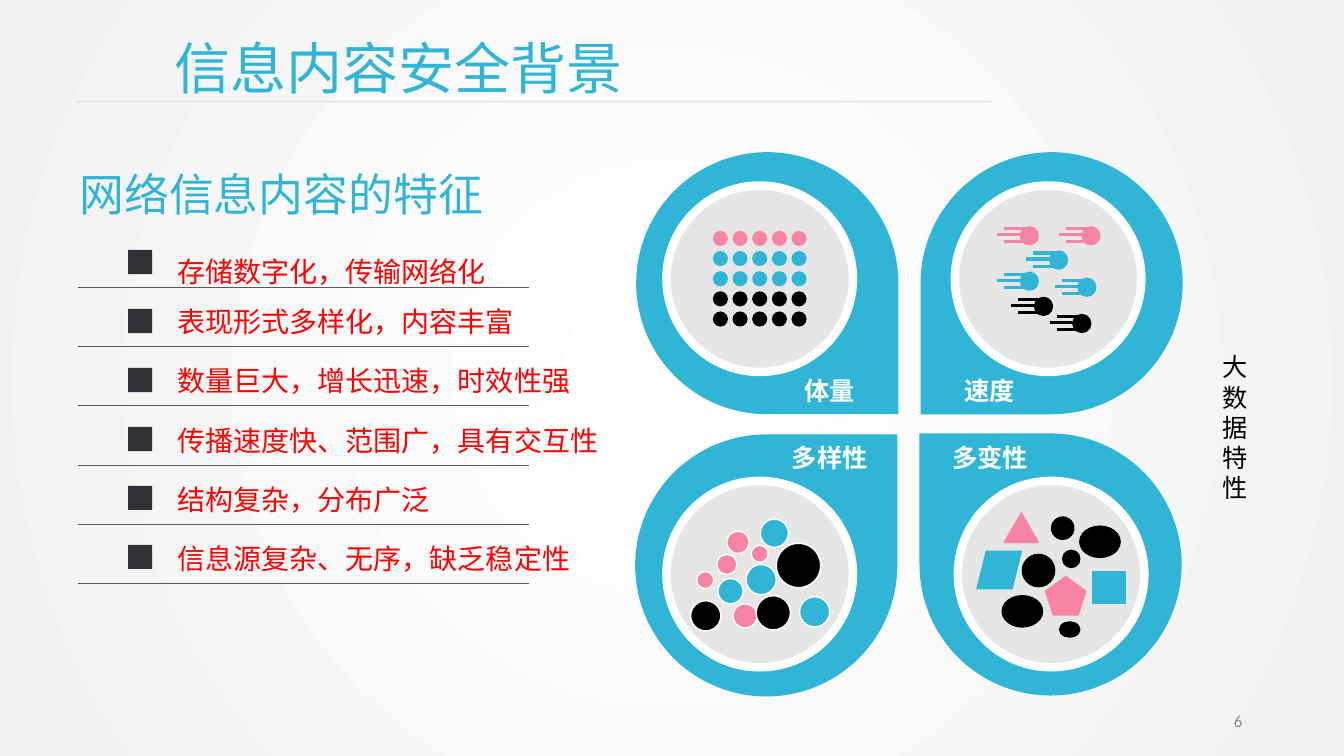
from lxml.etree import SubElement
from pptx import Presentation
from pptx.dml.color import RGBColor
from pptx.enum.shapes import MSO_CONNECTOR, MSO_SHAPE
from pptx.enum.text import MSO_ANCHOR, MSO_AUTO_SIZE, PP_ALIGN
from pptx.oxml.ns import qn
from pptx.util import Inches, Pt

BLUE = RGBColor(0x31, 0xB5, 0xD6)
PINK = RGBColor(0xF7, 0x84, 0xA5)
BLACK = RGBColor(0x00, 0x00, 0x00)
WHITE = RGBColor(0xFF, 0xFF, 0xFF)
RED = RGBColor(0xFF, 0x00, 0x00)
PALE = RGBColor(0xE7, 0xE6, 0xE6)
EDGE = RGBColor(0xF2, 0xF2, 0xF2)
DARK = RGBColor(0x32, 0x30, 0x34)
RULE = RGBColor(0x59, 0x59, 0x59)
TITLE_RULE = RGBColor(0x4A, 0x7E, 0xBB)
NUMBER_GREY = RGBColor(0x8C, 0x8C, 0x8C)
CJK = "Noto Sans CJK SC"
LATIN = "Calibri"

FEATURES = [
    "存储数字化，传输网络化",
    "表现形式多样化，内容丰富",
    "数量巨大，增长迅速，时效性强",
    "传播速度快、范围广，具有交互性",
    "结构复杂，分布广泛",
    "信息源复杂、无序，缺乏稳定性",
]
PETALS = [
    (6.31, 1.51, 90, 6.61, 1.84),
    (9.13, 1.51, 180, 9.47, 1.84),
    (9.12, 4.3, 270, 9.5, 4.77),
    (6.3, 4.31, 0, 6.61, 4.77),
]
PETAL_LABELS = [
    ("体量", 7.87, 3.67, 0.71),
    ("速度", 9.46, 3.67, 0.71),
    ("多变性", 9.34, 4.34, 0.96),
    ("多样性", 7.75, 4.34, 0.96),
]
DOT_ROWS = [PINK, BLUE, BLUE, BLACK, BLACK]
COMETS = [
    (10.13, 2.26, PINK), (10.74, 2.26, PINK), (10.42, 2.5, BLUE),
    (10.13, 2.71, BLUE), (10.27, 2.96, BLACK), (10.7, 2.77, BLUE),
    (10.65, 3.13, BLACK),
]
BUBBLES = [
    (7.7, 5.39, 0.44, BLACK), (7.54, 5.15, 0.28, BLUE), (7.4, 5.6, 0.3, BLUE),
    (7.45, 5.41, 0.17, PINK), (7.11, 5.5, 0.2, PINK), (6.91, 5.67, 0.17, PINK),
    (7.12, 5.74, 0.25, BLUE), (7.93, 5.92, 0.3, BLUE), (7.27, 5.99, 0.24, PINK),
    (6.85, 5.96, 0.3, BLACK), (7.21, 5.27, 0.22, PINK), (7.5, 5.91, 0.34, BLACK),
]
MIXED_SHAPES = [
    (MSO_SHAPE.ISOSCELES_TRIANGLE, 9.96, 5.09, 0.34, 0.29, PINK),
    (MSO_SHAPE.RECTANGLE, 10.84, 5.67, 0.32, 0.32, BLUE),
    (MSO_SHAPE.OVAL, 10.14, 5.5, 0.32, 0.32, BLACK),
    (MSO_SHAPE.OVAL, 10.51, 6.17, 0.2, 0.15, BLACK),
    (MSO_SHAPE.PARALLELOGRAM, 9.69, 5.47, 0.44, 0.37, BLUE),
    (MSO_SHAPE.OVAL, 10.54, 5.46, 0.17, 0.17, BLACK),
    (MSO_SHAPE.OVAL, 10.43, 5.13, 0.22, 0.22, BLACK),
    (MSO_SHAPE.REGULAR_PENTAGON, 10.37, 5.72, 0.4, 0.38, PINK),
    (MSO_SHAPE.OVAL, 10.71, 5.22, 0.4, 0.31, BLACK),
    (MSO_SHAPE.OVAL, 9.94, 5.91, 0.4, 0.31, BLACK),
]


def paint_background(page):
    fill = page.background.fill
    fill.gradient()
    for stop, color in zip(fill.gradient_stops, (WHITE, EDGE)):
        stop.color.rgb = color
    gradient = page.element.find(".//" + qn("a:gradFill"))
    gradient.remove(gradient.find(qn("a:lin")))
    circle = SubElement(gradient, qn("a:path"), {"path": "circle"})
    center = dict.fromkeys("ltrb", "50000")
    SubElement(circle, qn("a:fillToRect"), center)


def add_figure(page, kind, left, top, width, height, color, line=None, weight=1):
    figure = page.shapes.add_shape(
        kind, Inches(left), Inches(top), Inches(width), Inches(height))
    figure.shadow.inherit = False
    figure.fill.solid()
    figure.fill.fore_color.rgb = color
    if line is None:
        figure.line.fill.background()
    else:
        figure.line.color.rgb = line
        figure.line.width = Pt(weight)
    return figure


def add_rule(page, left, right, y, color, weight, alpha=None):
    rule = page.shapes.add_connector(
        MSO_CONNECTOR.STRAIGHT, Inches(left), Inches(y), Inches(right), Inches(y))
    rule.line.color.rgb = color
    rule.line.width = Pt(weight)
    if alpha is not None:
        tint = rule.element.find(".//" + qn("a:srgbClr"))
        SubElement(tint, qn("a:alpha"), {"val": str(alpha * 1000)})
    SubElement(rule.element.spPr, qn("a:effectLst"))


def add_span(para, text, size, color, font=CJK, bold=False):
    span = para.add_run()
    span.text = text
    span.font.size = Pt(size)
    span.font.bold = bold
    span.font.color.rgb = color
    span.font.name = font
    SubElement(span.font._element, qn("a:ea"), {"typeface": CJK})


def place(box, left, top, width, height):
    box.left, box.top = Inches(left), Inches(top)
    box.width, box.height = Inches(width), Inches(height)


def add_label(page, text, left, top, width, height, size, color,
              font=CJK, bold=False, align=PP_ALIGN.LEFT, wrap=False):
    box = page.shapes.add_textbox(
        Inches(left), Inches(top), Inches(width), Inches(height))
    box.text_frame.word_wrap = wrap
    para = box.text_frame.paragraphs[0]
    para.alignment = align
    add_span(para, text, size, color, font, bold)
    return box


def fill_title(page):
    title = page.shapes.title
    place(title, 1.63, 0.28, 8.5, 0.77)
    frame = title.text_frame
    frame.auto_size = MSO_AUTO_SIZE.NONE
    frame.vertical_anchor = MSO_ANCHOR.TOP
    frame.paragraphs[0].alignment = PP_ALIGN.LEFT
    add_span(frame.paragraphs[0], "信息内容安全背景", 40, BLUE)
    add_rule(page, 0.74, 9.83, 1.01, TITLE_RULE, 0.5, alpha=25)


def fill_features(page):
    body = page.placeholders[1]
    place(body, 1.76, 2.44, 4.85, 3.4)
    frame = body.text_frame
    frame.auto_size = MSO_AUTO_SIZE.NONE
    frame.margin_left = frame.margin_right = 0
    frame.margin_top = frame.margin_bottom = 0
    for index, feature in enumerate(FEATURES):
        para = frame.add_paragraph() if index else frame.paragraphs[0]
        para.line_spacing = Pt(30)
        para.space_before = Pt((0, 6)[index] if index < 2 else 12.3)
        properties = para._p.get_or_add_pPr()
        properties.set("marL", "0")
        properties.set("indent", "0")
        SubElement(properties, qn("a:buNone"))
        add_span(para, feature, 20, RED)
        add_figure(page, MSO_SHAPE.RECTANGLE, 1.27, 2.48 + 0.585 * index,
                   0.24, 0.24, DARK)
        add_rule(page, 0.77, 5.25, 2.85 + 0.588 * index, RULE, 0.5)


def add_petals(page):
    for left, top, turn, disc_left, disc_top in PETALS:
        petal = add_figure(page, MSO_SHAPE.TEAR, left, top, 2.6, 2.6, BLUE)
        petal.rotation = turn
        add_figure(page, MSO_SHAPE.OVAL, disc_left, disc_top, 1.85, 1.85,
                   PALE, WHITE, 6)
    for text, left, top, width in PETAL_LABELS:
        add_label(page, text, left, top, width, 0.4, 18, WHITE,
                  bold=True, align=PP_ALIGN.CENTER)


def add_dot_grid(page):
    for row, color in enumerate(DOT_ROWS):
        for column in range(5):
            add_figure(page, MSO_SHAPE.OVAL, 7.07 + 0.195 * column,
                       2.29 + 0.2 * row, 0.15, 0.15, color)


def add_comet(page, left, top, color):
    add_figure(page, MSO_SHAPE.OVAL, left, top, 0.16, 0.16, color, color, 2.25)
    for reach, drop in ((0.24, 0.07), (0.17, 0.14), (0.17, 0.01)):
        add_rule(page, left - reach, left + 0.06, top + drop, color, 2.25)


def main():
    deck = Presentation()
    deck.slide_width, deck.slide_height = Inches(13.33), Inches(7.5)
    page = deck.slides.add_slide(deck.slide_layouts[1])
    paint_background(page)
    fill_title(page)
    add_label(page, "网络信息内容的特征", 0.69, 1.61, 4.24, 0.64, 32, BLUE)
    fill_features(page)
    add_petals(page)
    add_dot_grid(page)
    for comet in COMETS:
        add_comet(page, *comet)
    for left, top, size, color in BUBBLES:
        add_figure(page, MSO_SHAPE.OVAL, left, top, size, size, color, WHITE)
    for kind, left, top, width, height, color in MIXED_SHAPES:
        add_figure(page, kind, left, top, width, height, color, color)
    add_label(page, "大数据特性", 12.03, 3.44, 0.65, 1.62, 18, BLACK,
              font=LATIN, wrap=True)
    number = add_label(page, "6", 9.42, 6.95, 3, 0.4, 12, NUMBER_GREY,
                       font=LATIN, align=PP_ALIGN.RIGHT, wrap=True)
    number.text_frame.vertical_anchor = MSO_ANCHOR.MIDDLE
    deck.save("out.pptx")


if __name__ == "__main__":
    main()
